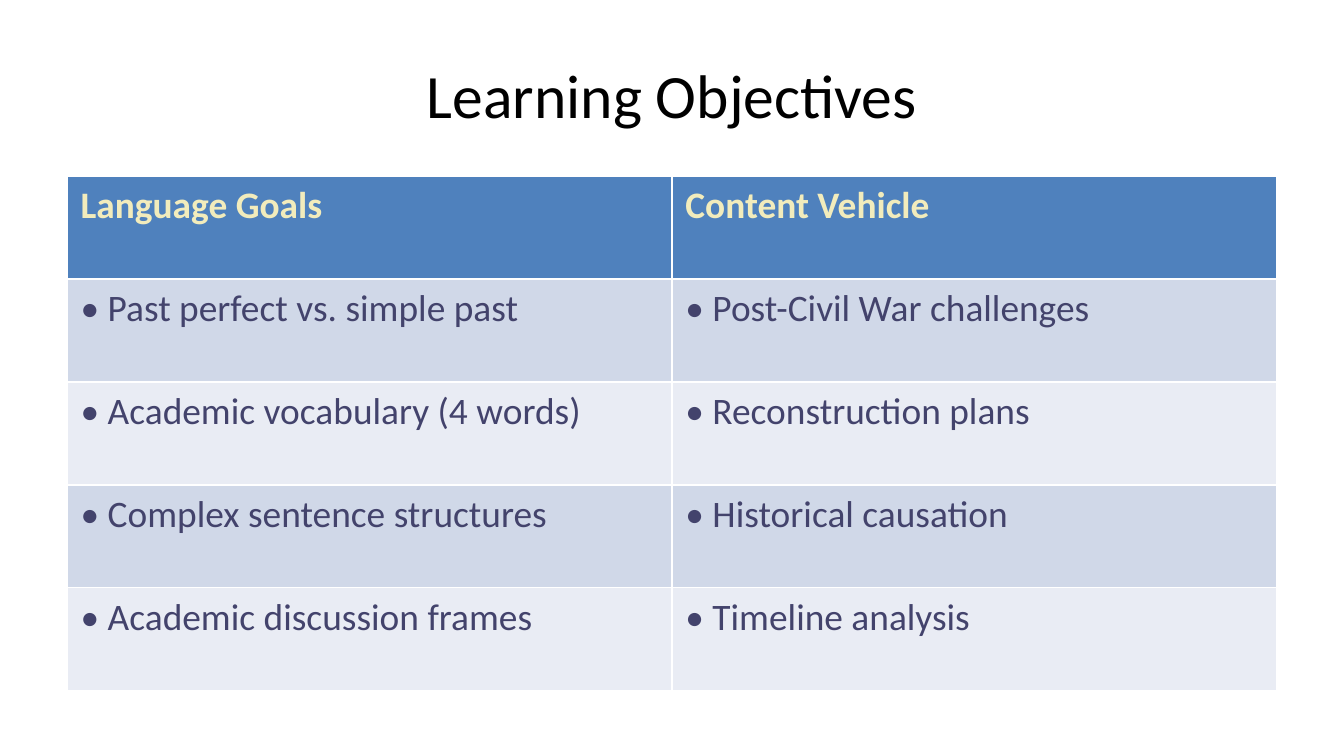
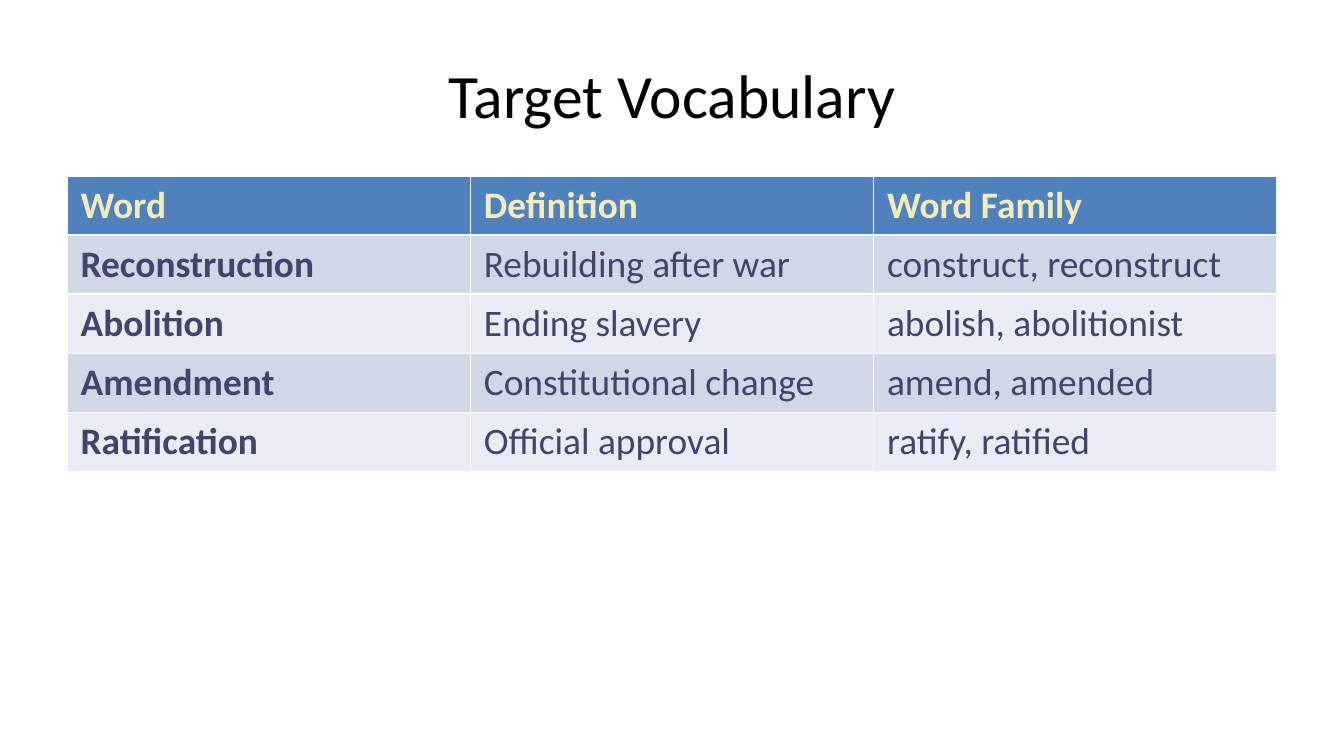
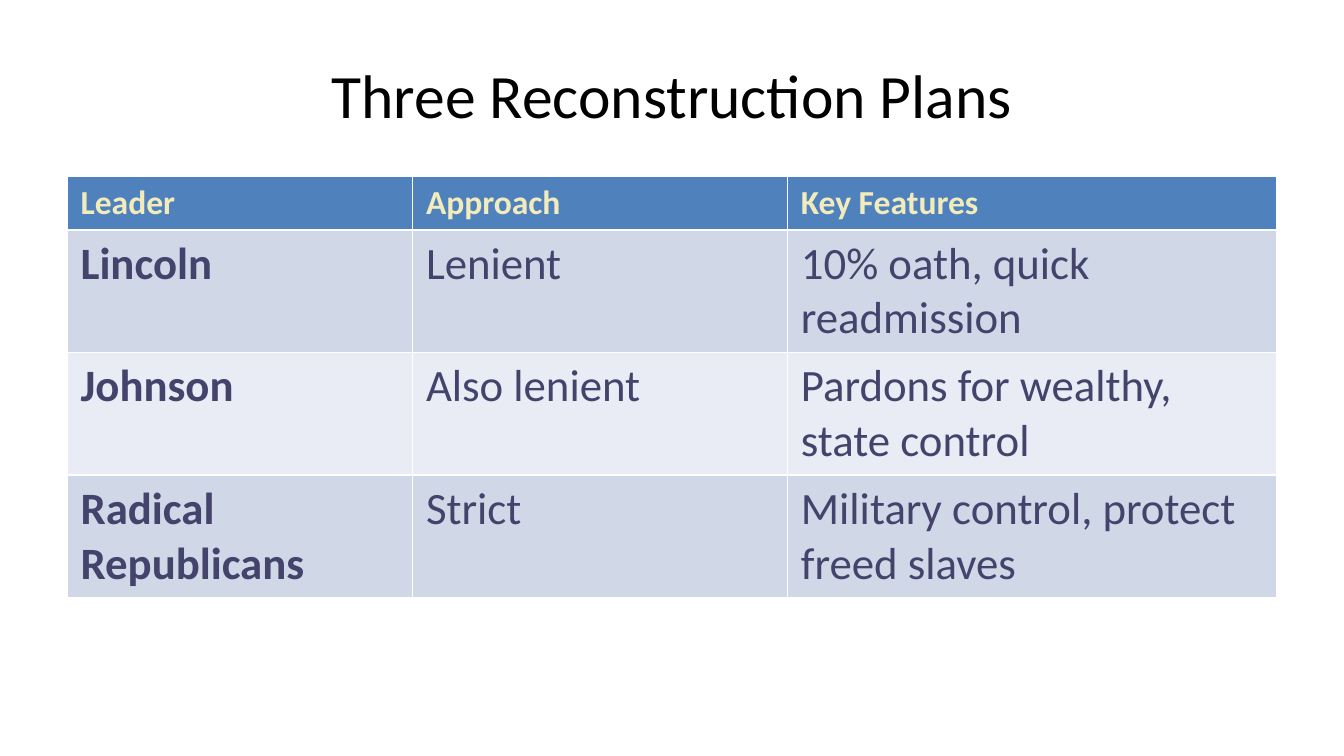
from pptx import Presentation
from pptx.dml.color import RGBColor
from pptx.enum.text import MSO_ANCHOR, PP_ALIGN
from pptx.util import Inches, Pt

# Shared style
FONT = "Calibri"
TITLE_COLOR = "000000"
HEADER_TEXT, BODY_TEXT = "F2ECBC", "43436C"
HEADER_FILL = "4F81BD"
BAND_FILLS = ["D0D8E8", "E9ECF4"]
BACKGROUND = "FFFFFF"
SLIDE_WIDTH = 10
LEFT, WIDTH = 0.5, 9
TITLE_TOP, TITLE_HEIGHT = 0.23, 0.94
TABLE_TOP = 1.31


def rgb(color):
    return RGBColor.from_string(color)


def format_text(text_frame, size, color, bold=False):
    for paragraph in text_frame.paragraphs:
        for run in paragraph.runs:
            run.font.name = FONT
            run.font.size = Pt(size)
            run.font.bold = bold
            run.font.color.rgb = rgb(color)


# Slide contents
tables = [
    {
        "title": "Learning Objectives",
        "columns": [4.5, 4.5],
        "header_height": 3.83 / 5, "body_height": 3.83 * 4 / 5,
        "header_size": 20, "body_size": 20,
        "bold_first_column": False,
        "rows": [
            ["Language Goals", "Content Vehicle"],
            ["• Past perfect vs. simple past", "• Post-Civil War challenges"],
            ["• Academic vocabulary (4 words)", "• Reconstruction plans"],
            ["• Complex sentence structures", "• Historical causation"],
            ["• Academic discussion frames", "• Timeline analysis"],
        ],
    },
    {
        "title": "Target Vocabulary",
        "columns": [3, 3, 3],
        "header_height": 0.44, "body_height": 1.76,
        "header_size": 20, "body_size": 20,
        "bold_first_column": True,
        "rows": [
            ["Word", "Definition", "Word Family"],
            ["Reconstruction", "Rebuilding after war", "construct, reconstruct"],
            ["Abolition", "Ending slavery", "abolish, abolitionist"],
            ["Amendment", "Constitutional change", "amend, amended"],
            ["Ratification", "Official approval", "ratify, ratified"],
        ],
    },
    {
        "title": "Three Reconstruction Plans",
        "columns": [2.57, 2.79, 3.64],
        "header_height": 0.4, "body_height": 2.74,
        "header_size": 18, "body_size": 24,
        "bold_first_column": True,
        "rows": [
            ["Leader", "Approach", "Key Features"],
            ["Lincoln", "Lenient", "10% oath, quick readmission"],
            ["Johnson", "Also lenient", "Pardons for wealthy, state control"],
            ["Radical Republicans", "Strict", "Military control, protect freed slaves"],
        ],
    },
]

# Widescreen 16:9
presentation = Presentation()
presentation.slide_width = Inches(SLIDE_WIDTH)
presentation.slide_height = Inches(SLIDE_WIDTH * 9 / 16)
blank_layout = presentation.slide_layouts[6]

for content in tables:
    slide = presentation.slides.add_slide(blank_layout)
    slide.background.fill.solid()
    slide.background.fill.fore_color.rgb = rgb(BACKGROUND)

    # Title
    title = slide.shapes.add_textbox(
        Inches(LEFT), Inches(TITLE_TOP), Inches(WIDTH), Inches(TITLE_HEIGHT))
    title_frame = title.text_frame
    title_frame.word_wrap = True
    title_frame.vertical_anchor = MSO_ANCHOR.MIDDLE
    title_frame.text = content["title"]
    title_frame.paragraphs[0].alignment = PP_ALIGN.CENTER
    format_text(title_frame, 33, TITLE_COLOR)

    # Table grid; the default table style supplies the white rules
    rows, columns = content["rows"], content["columns"]
    body_count = len(rows) - 1
    heights = [content["header_height"]] + [content["body_height"] / body_count] * body_count
    table = slide.shapes.add_table(
        len(rows), len(columns), Inches(LEFT), Inches(TABLE_TOP),
        Inches(WIDTH), Inches(sum(heights))).table
    for column, width in zip(table.columns, columns):
        column.width = Inches(width)
    for row, height in zip(table.rows, heights):
        row.height = Inches(height)

    # Header row and banded body rows
    for row_index, row_texts in enumerate(rows):
        is_header = row_index == 0
        fill = HEADER_FILL if is_header else BAND_FILLS[(row_index - 1) % 2]
        size = content["header_size"] if is_header else content["body_size"]
        color = HEADER_TEXT if is_header else BODY_TEXT
        for column_index, text in enumerate(row_texts):
            cell = table.cell(row_index, column_index)
            cell.fill.solid()
            cell.fill.fore_color.rgb = rgb(fill)
            cell.text_frame.text = text
            bold = is_header or (content["bold_first_column"] and column_index == 0)
            format_text(cell.text_frame, size, color, bold)

presentation.save("out.pptx")
